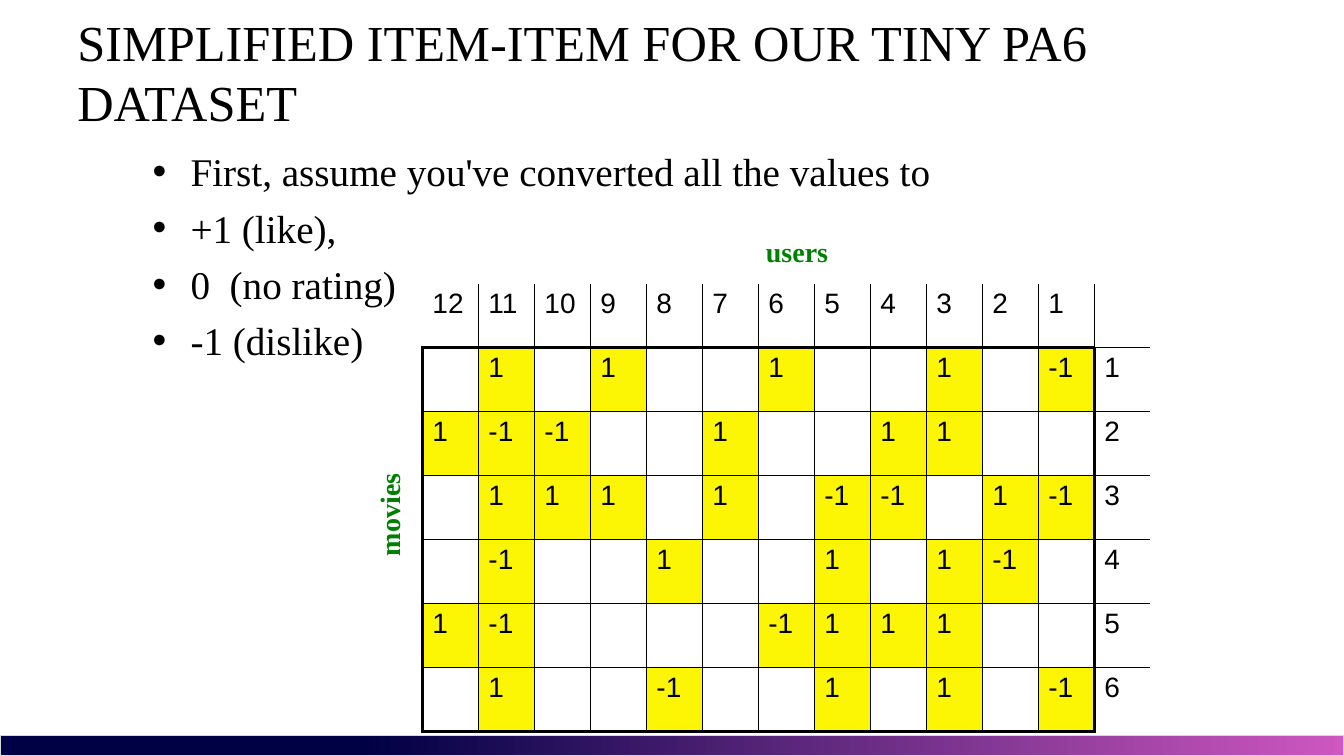
from lxml import etree
from pptx import Presentation
from pptx import util as u
from pptx.dml import color
from pptx.enum import shapes, text
from pptx.oxml import ns

SERIF, SANS = "Times New Roman", "Arial"
BLACK, GREEN, YELLOW = "000000", "008000", "FCF604"
THICK, THIN = 2.25, 1
COLUMN_WIDTH, ROW_HEIGHT = 40, 45.7

RATINGS = [
    ["", 1, "", 1, "", "", 1, "", "", 1, "", -1],
    [1, -1, -1, "", "", 1, "", "", 1, 1, "", ""],
    ["", 1, 1, 1, "", 1, "", -1, -1, "", 1, -1],
    ["", -1, "", "", 1, "", "", 1, "", 1, -1, ""],
    [1, -1, "", "", "", "", -1, 1, 1, 1, "", ""],
    ["", 1, "", "", -1, "", "", 1, "", 1, "", -1],
]
MOVIES, USERS = len(RATINGS), len(RATINGS[0])


def rgb(value):
    return color.RGBColor.from_string(value)


def apply(target, values):
    for name, value in values.items():
        setattr(target, name, value)


def child(parent, tag, **attributes):
    return etree.SubElement(parent, ns.qn(tag), attributes)


def vertical_width(row, edge):
    if edge == USERS + 1 or (edge == 0 and row == 0):
        return 0
    return THICK if row and edge in (0, USERS) else THIN


def horizontal_width(edge, column):
    if edge == 0 or (edge == MOVIES + 1 and column == USERS):
        return 0
    return THICK if edge in (1, MOVIES + 1) and column < USERS else THIN


class SlideBuilder:
    def __init__(self, slide):
        self.slide = slide
        self.frame_format = {
            "word_wrap": True,
            "auto_size": text.MSO_AUTO_SIZE.NONE,
            "vertical_anchor": text.MSO_ANCHOR.TOP,
        }

    def add_words(self, para, words, size, font=SERIF, ink=BLACK, bold=False):
        para.alignment = text.PP_ALIGN.LEFT
        span = para.add_run()
        span.text = words
        apply(span.font, {"size": u.Pt(size), "name": font, "bold": bold})
        span.font.color.rgb = rgb(ink)

    def place(self, box, left, top, width, height):
        sides = {"left": left, "top": top, "width": width, "height": height}
        apply(box, {name: u.Pt(value) for name, value in sides.items()})

    def title(self, words, *area):
        box = self.slide.shapes.title
        self.place(box, *area)
        apply(box.text_frame, self.frame_format)
        box.text_frame.vertical_anchor = text.MSO_ANCHOR.MIDDLE
        self.add_words(box.text_frame.paragraphs[0], words, 36)

    def band(self, start, end, *area):
        box = self.slide.shapes.add_shape(shapes.MSO_SHAPE.RECTANGLE, *map(u.Pt, area))
        box.shadow.inherit = False
        box.fill.gradient()
        box.fill.gradient_angle = 0
        for stop, (position, tint) in zip(box.fill.gradient_stops, (start, end)):
            stop.position = position
            stop.color.rgb = rgb(tint)
        box.line.color.rgb = rgb("D8D8D8")
        box.line.width = u.Pt(0.75)

    def bullets(self, lines, *area):
        frame = self.slide.shapes.add_textbox(*map(u.Pt, area)).text_frame
        apply(frame, self.frame_format)
        for index, line in enumerate(lines):
            para = frame.add_paragraph() if index else frame.paragraphs[0]
            properties = para._p.get_or_add_pPr()
            properties.set("marL", str(u.Pt(27)))
            properties.set("indent", str(-u.Pt(27)))
            child(properties, "a:buFont", typeface=SANS)
            child(properties, "a:buChar", char="•")
            para.space_before = u.Pt(6.5 if index else 0)
            self.add_words(para, line, 28)

    def label(self, words, *area, rotation=0):
        box = self.slide.shapes.add_textbox(*map(u.Pt, area))
        box.rotation = rotation
        apply(box.text_frame, self.frame_format)
        box.text_frame.word_wrap = False
        self.add_words(box.text_frame.paragraphs[0], words, 20, ink=GREEN, bold=True)

    def border(self, cell, side, width):
        properties = cell._tc.get_or_add_tcPr()
        line = child(properties, f"a:ln{side}", w=str(u.Pt(width)))
        if width:
            child(child(line, "a:solidFill"), "a:srgbClr", val=BLACK)
        else:
            child(line, "a:noFill")

    def matrix(self, rows, left, top):
        size = len(rows[0]) * COLUMN_WIDTH, len(rows) * ROW_HEIGHT
        table = self.slide.shapes.add_table(
            len(rows), len(rows[0]), *map(u.Pt, (left, top, *size))).table
        apply(table, {"first_row": False, "horz_banding": False})
        for column in table.columns:
            column.width = u.Pt(COLUMN_WIDTH)
        for row in table.rows:
            row.height = u.Pt(ROW_HEIGHT)
        for r, values in enumerate(rows):
            for c, value in enumerate(values):
                cell = table.cell(r, c)
                self.border(cell, "L", vertical_width(r, c))
                self.border(cell, "R", vertical_width(r, c + 1))
                self.border(cell, "T", horizontal_width(r, c))
                self.border(cell, "B", horizontal_width(r + 1, c))
                if value != "":
                    self.add_words(cell.text_frame.paragraphs[0], str(value), 20, SANS)
                if value != "" and r and c < USERS:
                    cell.fill.solid()
                    cell.fill.fore_color.rgb = rgb(YELLOW)
                else:
                    cell.fill.background()


def main():
    deck = Presentation()
    apply(deck, {"slide_width": u.Pt(960), "slide_height": u.Pt(540)})
    page = SlideBuilder(deck.slides.add_slide(deck.slide_layouts[5]))
    page.band((0.27, "000044"), (1, "CE57C1"), 0, 525.6, 960, 14.4)
    page.title("SIMPLIFIED ITEM-ITEM FOR OUR TINY PA6 DATASET", 48, 22.3, 875, 57)
    page.bullets([
        "First, assume you've converted all the values to",
        "+1 (like),",
        "0  (no rating)",
        "-1 (dislike)",
    ], 102, 102, 594, 317)
    header = [*range(USERS, 0, -1), ""]
    body = [[*ratings, movie] for movie, ratings in enumerate(RATINGS, 1)]
    page.matrix([header, *body], 301.7, 202.5)
    page.label("users", 540, 164, 60, 31.5)
    page.label("movies", 241, 351.5, 74, 31.5, rotation=270)
    deck.save("out.pptx")


if __name__ == "__main__":
    main()
